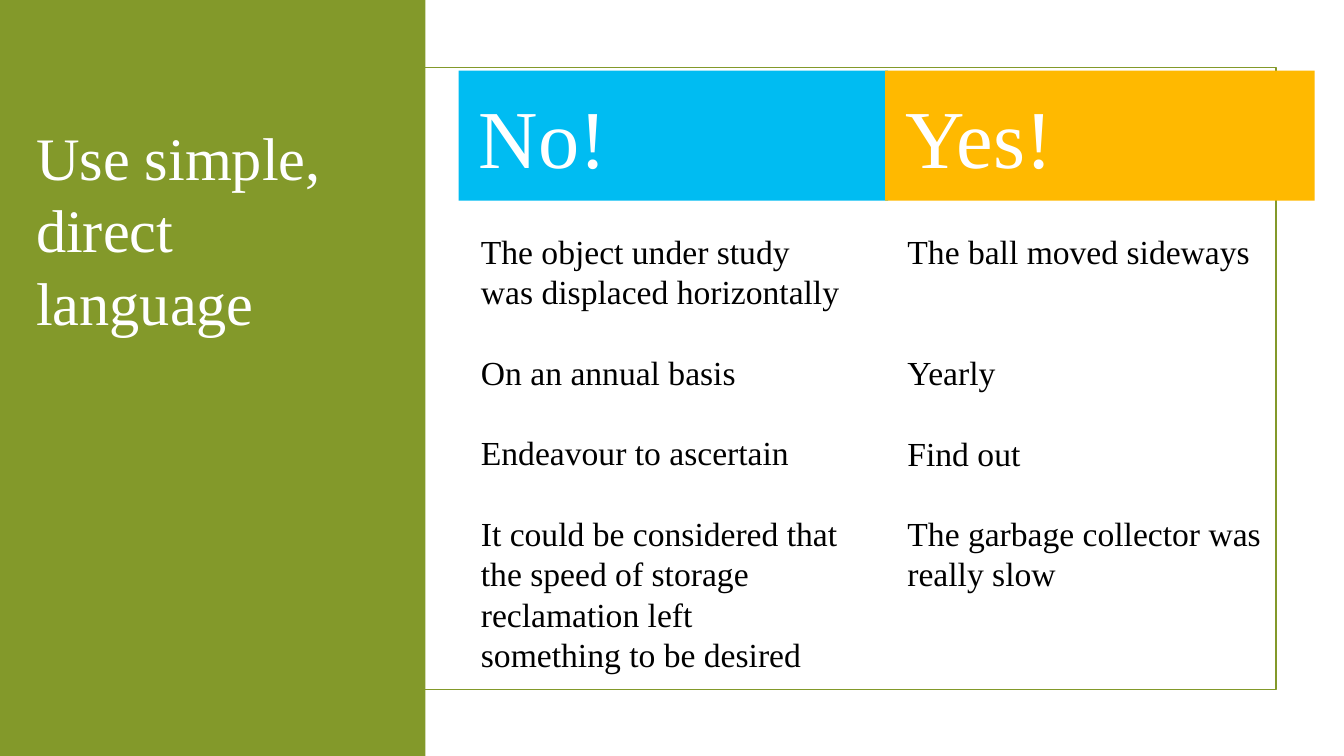
from dataclasses import dataclass

import pptx
import pptx.dml.color
import pptx.enum.shapes
import pptx.enum.text
import pptx.util
from pptx.util import Inches

COLORS = {"green": "83992A", "blue": "00BCF2", "amber": "FFB900",
          "white": "FFFFFF", "black": "000000"}
FONT = "Times New Roman"
LEADING = 1.2  # line pitch relative to the text size
BODY_SIZE = 24


@dataclass
class Box:
    left: float
    top: float
    width: float
    height: float


@dataclass
class Phrase:
    text: str
    blank_lines: int = 0  # lines left free below the phrase


@dataclass
class Column:
    heading: str
    color: str
    header: Box
    body: Box
    phrases: list[Phrase]


COLUMNS = [
    Column("No!", "blue", Box(4.55, 0.7, 4.26, 1.29), Box(4.57, 2.13, 3.96, 4.76), [
        Phrase("The object under study was displaced horizontally", 1),
        Phrase("On an annual basis", 1),
        Phrase("Endeavour to ascertain", 1),
        Phrase("It could be considered that the speed of storage reclamation "
               "left something to be desired"),
    ]),
    Column("Yes!", "amber", Box(8.78, 0.7, 4.26, 1.29), Box(8.8, 2.13, 4.19, 3.95), [
        Phrase("The ball moved sideways", 2),
        Phrase("Yearly", 1),
        Phrase("Find out", 1),
        Phrase("The garbage collector was really slow"),
    ]),
]


def rgb(name: str) -> pptx.dml.color.RGBColor:
    return pptx.dml.color.RGBColor.from_string(COLORS[name])


def place(box: Box) -> list[int]:
    return [Inches(v) for v in (box.left, box.top, box.width, box.height)]


def add_rect(s, box: Box, fill: str | None = None, line: str | None = None):
    sp = s.shapes.add_shape(pptx.enum.shapes.MSO_SHAPE.RECTANGLE, *place(box))
    sp.shadow.inherit = False
    if fill:
        sp.fill.solid()
        sp.fill.fore_color.rgb = rgb(fill)
    else:
        sp.fill.background()
    if line:
        sp.line.color.rgb = rgb(line)
        sp.line.width = pptx.util.Pt(1.25)
    else:
        sp.line.fill.background()
    return sp


def write(sp, phrases: list[Phrase], size: float, color: str,
          inset_x: float = 0.2, inset_y: float = 0.16) -> None:
    tf = sp.text_frame
    tf.word_wrap = True
    tf.vertical_anchor = pptx.enum.text.MSO_ANCHOR.TOP
    tf.margin_left = tf.margin_right = Inches(inset_x)
    tf.margin_top = tf.margin_bottom = Inches(inset_y)
    for i, phrase in enumerate(phrases):
        p = tf.add_paragraph() if i else tf.paragraphs[0]
        p.alignment = pptx.enum.text.PP_ALIGN.LEFT
        p.line_spacing = pptx.util.Pt(size * LEADING)
        p.space_after = pptx.util.Pt(size * LEADING * phrase.blank_lines)
        r = p.add_run()
        r.text = phrase.text
        r.font.name = FONT
        r.font.size = pptx.util.Pt(size)
        r.font.color.rgb = rgb(color)


def main() -> None:
    prs = pptx.Presentation()
    prs.slide_width, prs.slide_height = Inches(13.33), Inches(7.5)
    s = prs.slides.add_slide(prs.slide_layouts[6])

    # Frame and side panel
    add_rect(s, Box(0.66, 0.67, 12, 6.17), line="green")
    add_rect(s, Box(0, 0, 4.22, 7.5), fill="green")

    # Title
    title = s.shapes.add_textbox(*place(Box(0.26, 1.14, 3.71, 1.62)))
    write(title, [Phrase("Use simple, direct language")], 43.1, "white", 0.1, 0.05)

    # Comparison columns
    for col in COLUMNS:
        header = add_rect(s, col.header, fill=col.color)
        write(header, [Phrase(col.heading)], 58.8, "white")
        body = s.shapes.add_textbox(*place(col.body))
        write(body, col.phrases, BODY_SIZE, "black")

    prs.save("out.pptx")


if __name__ == "__main__":
    main()
